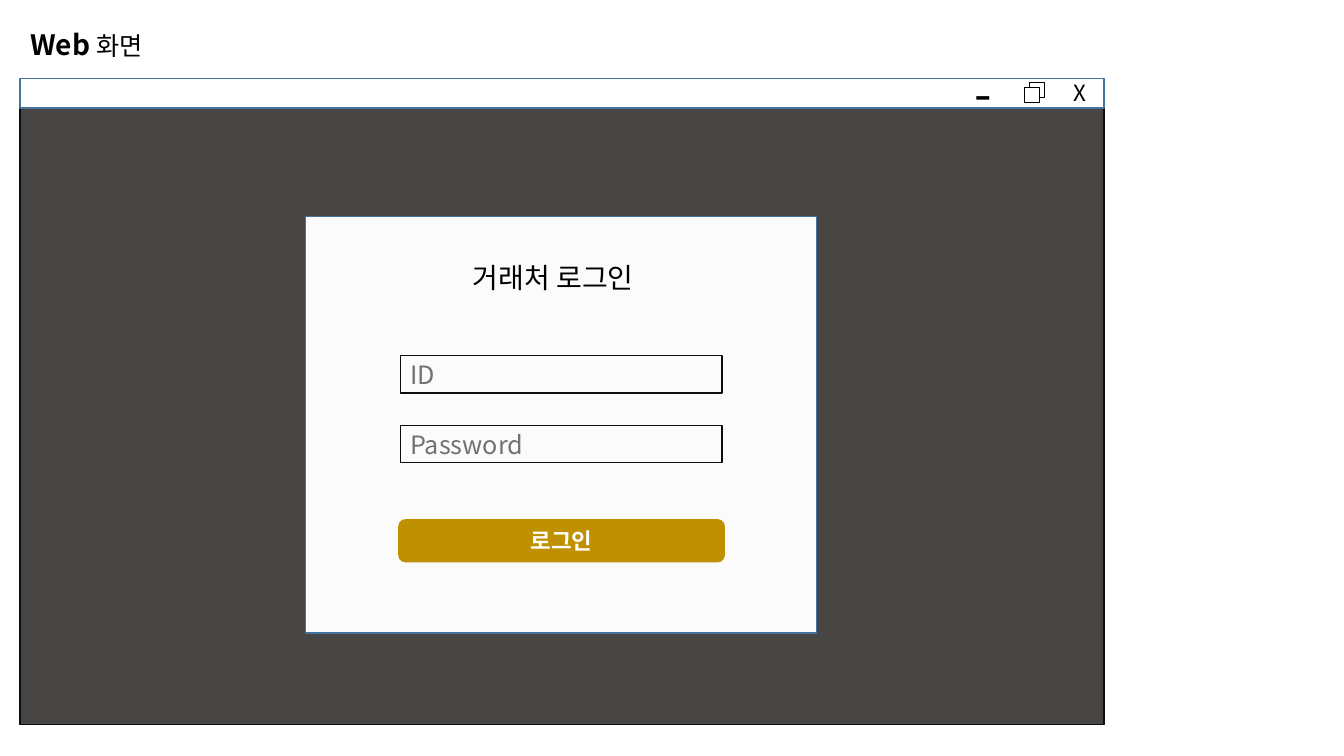
import pptx
import pptx.util
import pptx.dml.color
import pptx.enum.shapes
import pptx.enum.text
import pptx.oxml
import pptx.oxml.ns

Inches = pptx.util.Inches
RGB = pptx.dml.color.RGBColor
SHAPE = pptx.enum.shapes.MSO_SHAPE
ALIGN = pptx.enum.text.PP_ALIGN
ANCHOR = pptx.enum.text.MSO_ANCHOR

FONT = "Noto Sans CJK KR"
BLACK = RGB(0x00, 0x00, 0x00)
WHITE = RGB(0xFF, 0xFF, 0xFF)
CHARCOAL = RGB(0x47, 0x46, 0x44)
OUTLINE = RGB(0x0D, 0x0D, 0x0D)
BLUE = RGB(0x43, 0x73, 0x9E)
PANEL = RGB(0xFB, 0xFB, 0xFB)
HINT = RGB(0x76, 0x71, 0x71)
GOLD = RGB(0xBF, 0x90, 0x00)


def add_run(paragraph, text, size, color=BLACK, bold=False):
    run = paragraph.add_run()
    run.text = text
    run.font.size = pptx.util.Pt(size)
    run.font.bold = bold
    run.font.color.rgb = color
    run.font.name = FONT
    # Hangul takes its typeface from the East Asian slot
    east_asian = pptx.oxml.parse_xml(
        f'<a:ea {pptx.oxml.ns.nsdecls("a")} typeface="{FONT}"/>')
    run.font._element.find(pptx.oxml.ns.qn("a:latin")).addnext(east_asian)


def add_box(slide, left, top, width, height, fill=None, line=None, kind=SHAPE.RECTANGLE):
    box = slide.shapes.add_shape(
        kind, Inches(left), Inches(top), Inches(width), Inches(height))
    box.shadow.inherit = False
    if fill is None:
        box.fill.background()
    else:
        box.fill.solid()
        box.fill.fore_color.rgb = fill
    if line is None:
        box.line.fill.background()
    else:
        box.line.color.rgb = line
        box.line.width = pptx.util.Pt(1)
    return box


def write_in_box(box, text, size, color, bold=False, align=ALIGN.LEFT):
    box.text_frame.vertical_anchor = ANCHOR.MIDDLE
    paragraph = box.text_frame.paragraphs[0]
    paragraph.alignment = align
    add_run(paragraph, text, size, color, bold)


def add_label(slide, left, top, width, height, text, size, wrap=True):
    label = slide.shapes.add_textbox(
        Inches(left), Inches(top), Inches(width), Inches(height))
    label.text_frame.word_wrap = wrap
    add_run(label.text_frame.paragraphs[0], text, size)


def place_title(slide, left, top, width, height):
    title = slide.shapes.title
    title.left, title.top = Inches(left), Inches(top)
    title.width, title.height = Inches(width), Inches(height)
    frame = title.text_frame
    frame.word_wrap = False
    frame.auto_size = pptx.enum.text.MSO_AUTO_SIZE.NONE
    frame.vertical_anchor = ANCHOR.TOP
    heading = frame.paragraphs[0]
    heading.alignment = ALIGN.LEFT
    add_run(heading, "Web ", 20, bold=True)
    add_run(heading, "화면", 18)


def draw_login_panel(slide, left, top, width, height):
    add_box(slide, left, top, width, height, PANEL, BLUE)

    # Input fields
    for offset, hint in ((1.38, "ID"), (2.07, "Password")):
        field = add_box(slide, left + 0.94, top + offset, 3.19, 0.37, line=OUTLINE)
        write_in_box(field, hint, 18, HINT)

    # Login button
    button = add_box(slide, left + 0.92, top + 3, 3.24, 0.43, GOLD,
                     kind=SHAPE.ROUNDED_RECTANGLE)
    write_in_box(button, "로그인", 16, WHITE, True, ALIGN.CENTER)

    # Panel heading
    add_label(slide, left + 1.56, top + 0.39, 1.96, 0.44, "거래처 로그인", 20, wrap=False)


def draw_title_bar(slide, left, top, width, height):
    add_box(slide, left, top, width, height, WHITE, BLUE)
    right = left + width

    # Minimize and close
    add_label(slide, right - 1.38, top - 0.21, 0.4, 0.71, "-", 36)
    add_label(slide, right - 0.4, top - 0.04, 0.4, 0.37, "X", 16)

    # Restore: two overlapping squares
    add_box(slide, right - 0.74, top + 0.04, 0.15, 0.15, line=BLACK)
    add_box(slide, right - 0.79, top + 0.09, 0.15, 0.15, WHITE, BLACK)


def draw_browser_window(slide, left, top, width, height):
    add_box(slide, left, top + 0.02, width, height - 0.02, CHARCOAL, OUTLINE)
    draw_login_panel(slide, left + 2.83, top + 1.37, 5.07, 4.13)
    draw_title_bar(slide, left, top, width, 0.29)


def main():
    deck = pptx.Presentation()
    deck.slide_width, deck.slide_height = Inches(13.33), Inches(7.5)
    slide = deck.slides.add_slide(deck.slide_layouts.get_by_name("Title Only"))
    place_title(slide, 0.2, 0.22, 1.39, 0.44)
    draw_browser_window(slide, 0.2, 0.78, 10.75, 6.41)
    deck.save("out.pptx")


if __name__ == "__main__":
    main()
